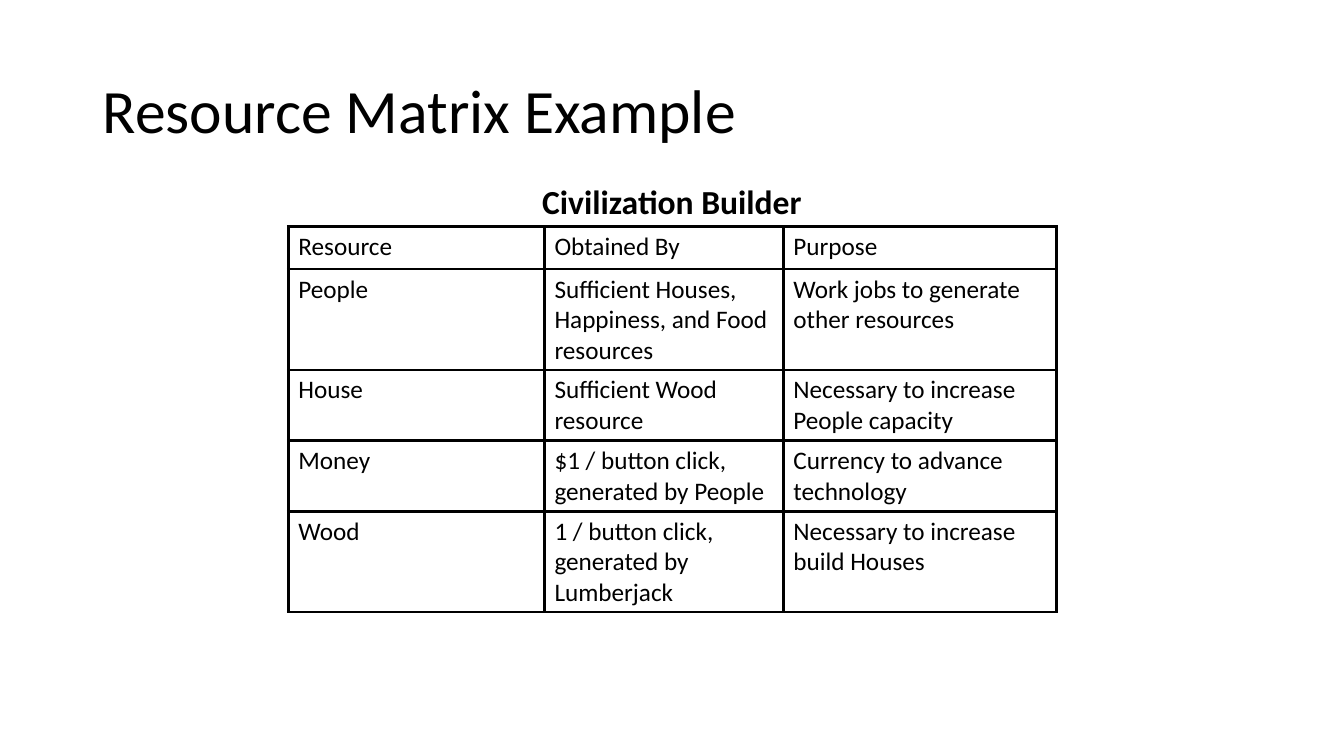
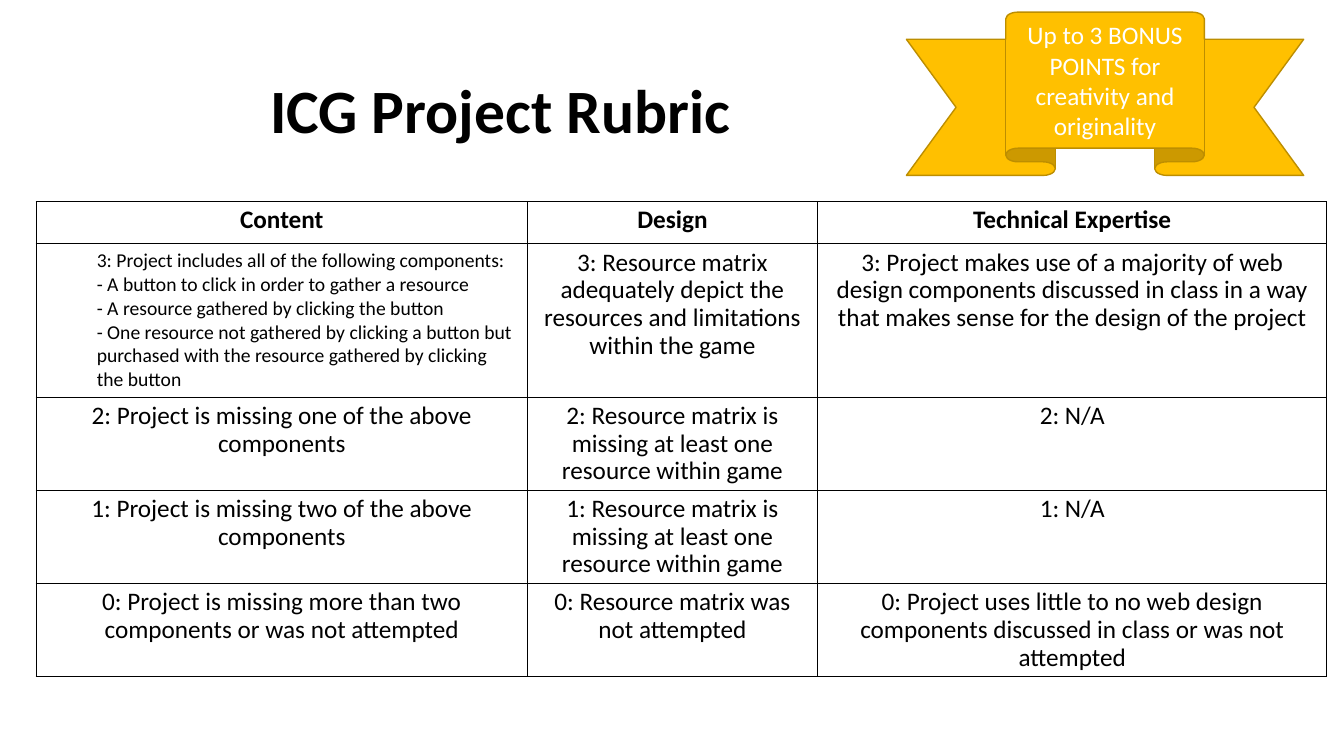
import dataclasses

import lxml.etree
import pptx
import pptx.dml.color
import pptx.enum.shapes
import pptx.enum.text
import pptx.oxml.ns
import pptx.util


@dataclasses.dataclass(frozen=True)
class Theme:
    font: str = "Calibri"
    ink: str = "000000"
    paper: str = "FFFFFF"
    gold: str = "FFC000"
    gold_edge: str = "BD8E00"
    title: int = 44
    caption: int = 24
    body: int = 18
    detail: int = 14


theme = Theme()
PX = 9144
LEFT = pptx.enum.text.PP_ALIGN.LEFT
CENTER = pptx.enum.text.PP_ALIGN.CENTER
MIDDLE = pptx.enum.text.MSO_ANCHOR.MIDDLE
ROW_HEIGHT = 42
qn = pptx.oxml.ns.qn


def write(frame, lines, size, align=LEFT, bold=False, color=theme.ink, spacing=1.0, indent=0):
    frame.word_wrap = True
    for number, line in enumerate(lines):
        para = frame.add_paragraph() if number else frame.paragraphs[0]
        para.alignment = align
        para.line_spacing = spacing
        if indent:
            properties = para._p.get_or_add_pPr()
            properties.set("marL", str(indent * PX))
            properties.set("indent", "0")
        span = para.add_run()
        span.text = line
        span.font.name = theme.font
        span.font.size = pptx.util.Pt(size)
        span.font.bold = bold
        span.font.color.rgb = pptx.dml.color.RGBColor.from_string(color)


def add_grid(page, left, top, widths, rows, border, style_for):
    table = page.shapes.add_table(
        len(rows), len(widths), left * PX, top * PX,
        sum(widths) * PX, len(rows) * ROW_HEIGHT * PX).table
    table.first_row = False
    table.horz_banding = False
    for column, width in zip(table.columns, widths):
        column.width = width * PX
    for row_number, row in enumerate(rows):
        table.rows[row_number].height = ROW_HEIGHT * PX
        for column_number, text in enumerate(row):
            cell = table.cell(row_number, column_number)
            write(cell.text_frame, text.split("\n"), **style_for(row_number, column_number))
            cell.fill.background()
            properties = cell._tc.get_or_add_tcPr()
            for position, side in enumerate(("lnL", "lnR", "lnT", "lnB")):
                line = lxml.etree.Element(qn("a:" + side), w=str(pptx.util.Pt(border)))
                fill = lxml.etree.SubElement(line, qn("a:solidFill"))
                lxml.etree.SubElement(fill, qn("a:srgbClr"), val=theme.ink)
                properties.insert(position, line)


deck = pptx.Presentation()
deck.slide_width = 1333 * PX
deck.slide_height = 750 * PX

pages = []
for heading, left, bold in (
    ("Resource Matrix Example", 92, False),
    ("ICG Project Rubric", 258, True),
):
    page = deck.slides.add_slide(deck.slide_layouts[5])
    title = page.shapes.title
    title.left, title.top, title.width, title.height = left * PX, 40 * PX, 1150 * PX, 145 * PX
    title.text_frame.vertical_anchor = MIDDLE
    write(title.text_frame, [heading], theme.title, bold=bold, spacing=0.9)
    pages.append(page)
matrix_page, rubric_page = pages

caption = matrix_page.shapes.add_textbox(490 * PX, 175 * PX, 353 * PX, 50 * PX)
write(caption.text_frame, ["Civilization Builder"], theme.caption, CENTER, bold=True)

resources = [
    ("Resource", "Obtained By", "Purpose"),
    ("People", "Sufficient Houses, Happiness, and Food resources",
     "Work jobs to generate other resources"),
    ("House", "Sufficient Wood resource", "Necessary to increase People capacity"),
    ("Money", "$1 / button click, generated by People", "Currency to advance technology"),
    ("Wood", "1 / button click, generated by Lumberjack", "Necessary to increase build Houses"),
]
add_grid(matrix_page, 286, 225, (254, 237, 271), resources, 2.25,
         lambda row, column: {"size": theme.body})

components = """3: Project includes all of the following components:
- A button to click in order to gather a resource
- A resource gathered by clicking the button
- One resource not gathered by clicking a button but purchased with the resource gathered by clicking the button"""
rubric = [
    ("Content", "Design", "Technical Expertise"),
    (components,
     "3: Resource matrix adequately depict the resources and limitations within the game",
     "3: Project makes use of a majority of web design components discussed in class "
     "in a way that makes sense for the design of the project"),
    ("2: Project is missing one of the above components",
     "2: Resource matrix is missing at least one resource within game", "2: N/A"),
    ("1: Project is missing two of the above components",
     "1: Resource matrix is missing at least one resource within game", "1: N/A"),
    ("0: Project is missing more than two components or was not attempted",
     "0: Resource matrix was not attempted",
     "0: Project uses little to no web design components discussed in class or was not attempted"),
]
component_style = {"size": theme.detail, "indent": 50}
add_grid(rubric_page, 36, 200, (487, 288, 505), rubric, 1,
         lambda row, column: component_style if (row, column) == (1, 0) else
         {"size": theme.body, "align": CENTER, "spacing": 0.9, "bold": row == 0})

ribbon = rubric_page.shapes.add_shape(
    pptx.enum.shapes.MSO_SHAPE.UP_RIBBON, 899 * PX, 12 * PX, 394 * PX, 162 * PX)
ribbon.shadow.inherit = False
ribbon.fill.solid()
ribbon.fill.fore_color.rgb = pptx.dml.color.RGBColor.from_string(theme.gold)
ribbon.line.color.rgb = pptx.dml.color.RGBColor.from_string(theme.gold_edge)
ribbon.line.width = pptx.util.Pt(1)
ribbon.text_frame.vertical_anchor = MIDDLE
write(ribbon.text_frame, ["Up to 3 BONUS POINTS for creativity and originality"],
      theme.body, CENTER, color=theme.paper)

deck.save("out.pptx")
